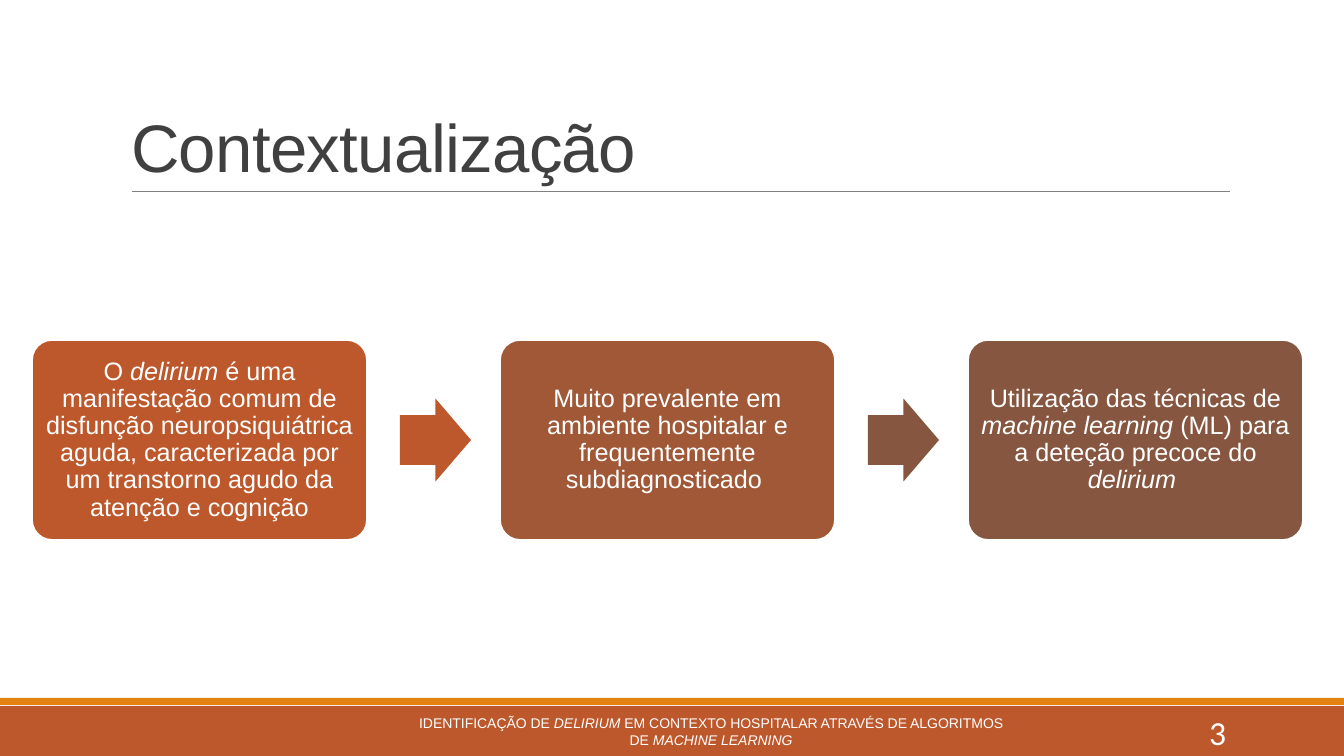
"""Build the "Contextualização" slide: three steps joined by arrows."""
import pptx
import pptx.dml.color
import pptx.enum.shapes
import pptx.enum.text
import pptx.oxml.xmlchemy
import pptx.util

TITLE = "Contextualização"
STEPS = [
    ("O *delirium* é uma manifestação comum de disfunção neuropsiquiátrica "
     "aguda, caracterizada por um transtorno agudo da atenção e cognição", "rust"),
    ("Muito prevalente em ambiente hospitalar e frequentemente subdiagnosticado ", "sienna"),
    ("Utilização das técnicas de *machine learning* (ML) para a deteção "
     "precoce do *delirium *", "brown"),
]
ARROWS = ["rust", "brown"]
FOOTER = ("IDENTIFICAÇÃO DE *DELIRIUM* EM CONTEXTO HOSPITALAR ATRAVÉS "
          "DE ALGORITMOS DE *MACHINE LEARNING*")
PAGE = "3"
COLORS = {"rust": "BD582C", "sienna": "A05837", "brown": "865640",
          "orange": "E48312", "white": "FFFFFF", "ink": "404040", "rule": "808080"}

WIDTH, HEIGHT = 1344, 756
STEP_LEFT, STEP_TOP, STEP_W, STEP_H, STEP_PITCH = 32, 340, 335, 200, 468
ARROW_W, ARROW_H, ARROW_OFFSET = 71, 83, 368
STEP_INSET = 7

SHAPE = pptx.enum.shapes.MSO_SHAPE
ALIGN = pptx.enum.text.PP_ALIGN
ANCHOR = pptx.enum.text.MSO_ANCHOR


def px(length):
    return pptx.util.Emu(round(length * 914400 / 100.8))


def rgb(name):
    return pptx.dml.color.RGBColor.from_string(COLORS[name])


def write(frame, text, size, color="white", font="Arial", align=ALIGN.CENTER,
          anchor=ANCHOR.MIDDLE, leading=None, tracking=None, inset=None):
    """Fill a text frame; asterisks enclose italic words."""
    frame.word_wrap = True
    frame.auto_size = pptx.enum.text.MSO_AUTO_SIZE.NONE
    frame.vertical_anchor = anchor
    if inset is not None:
        frame.margin_left = frame.margin_right = px(inset)
        frame.margin_top = frame.margin_bottom = px(inset)
    paragraph = frame.paragraphs[0]
    paragraph.alignment = align
    if leading:
        paragraph.line_spacing = leading
    for index, part in enumerate(text.split("*")):
        if not part:
            continue
        run = paragraph.add_run()
        run.text = part
        run.font.size = pptx.util.Pt(size)
        run.font.name = font
        run.font.color.rgb = rgb(color)
        run.font.italic = index % 2 == 1
        if tracking:
            run._r.get_or_add_rPr().set("spc", str(round(tracking * 100)))


def add_block(slide, kind, box, fill, outline=None, adjustments=()):
    block = slide.shapes.add_shape(kind, *map(px, box))
    block.shadow.inherit = False
    block.fill.solid()
    block.fill.fore_color.rgb = rgb(fill)
    if outline:
        block.line.color.rgb = rgb(outline)
        block.line.width = pptx.util.Pt(1.25)
    else:
        block.line.fill.background()
    for index, value in enumerate(adjustments):
        block.adjustments[index] = value
    return block


def add_label(slide, box, text, size, **style):
    label = slide.shapes.add_textbox(*map(px, box))
    write(label.text_frame, text, size, **style)


def main():
    deck = pptx.Presentation()
    deck.slide_width, deck.slide_height = px(WIDTH), px(HEIGHT)
    slide = deck.slides.add_slide(deck.slide_layouts[5])

    add_block(slide, SHAPE.RECTANGLE, (0, 706, WIDTH, 50), "rust")
    add_block(slide, SHAPE.RECTANGLE, (0, 698, WIDTH, 7), "orange")
    rule = slide.shapes.add_connector(
        pptx.enum.shapes.MSO_CONNECTOR.STRAIGHT, px(132), px(191), px(1230), px(191))
    rule.line.color.rgb = rgb("rule")
    rule.line.width = pptx.util.Pt(0.5)
    rule._element.spPr.append(pptx.oxml.xmlchemy.OxmlElement("a:effectLst"))

    title = slide.shapes.title
    title.left, title.top, title.width, title.height = map(px, (121, 31, 1109, 160))
    write(title.text_frame, TITLE, 48, color="ink", align=ALIGN.LEFT,
          anchor=ANCHOR.BOTTOM, leading=0.85, tracking=-0.5)

    add_label(slide, (1092, 712, 144, 40), PAGE, 24, font="Calibri", align=ALIGN.RIGHT)
    add_label(slide, (406, 712, 610, 39), FOOTER, 10)

    for index, (text, fill) in enumerate(STEPS):
        box = (STEP_LEFT + index * STEP_PITCH, STEP_TOP, STEP_W, STEP_H)
        step = add_block(slide, SHAPE.ROUNDED_RECTANGLE, box, fill, "white", [0.1])
        write(step.text_frame, text, 18, leading=0.9, inset=STEP_INSET)

    arrow_top = STEP_TOP + (STEP_H - ARROW_H) / 2
    for index, fill in enumerate(ARROWS):
        left = STEP_LEFT + ARROW_OFFSET + index * STEP_PITCH
        add_block(slide, SHAPE.RIGHT_ARROW, (left, arrow_top, ARROW_W, ARROW_H),
                  fill, adjustments=[0.6, 0.5])

    deck.save("out.pptx")


if __name__ == "__main__":
    main()
